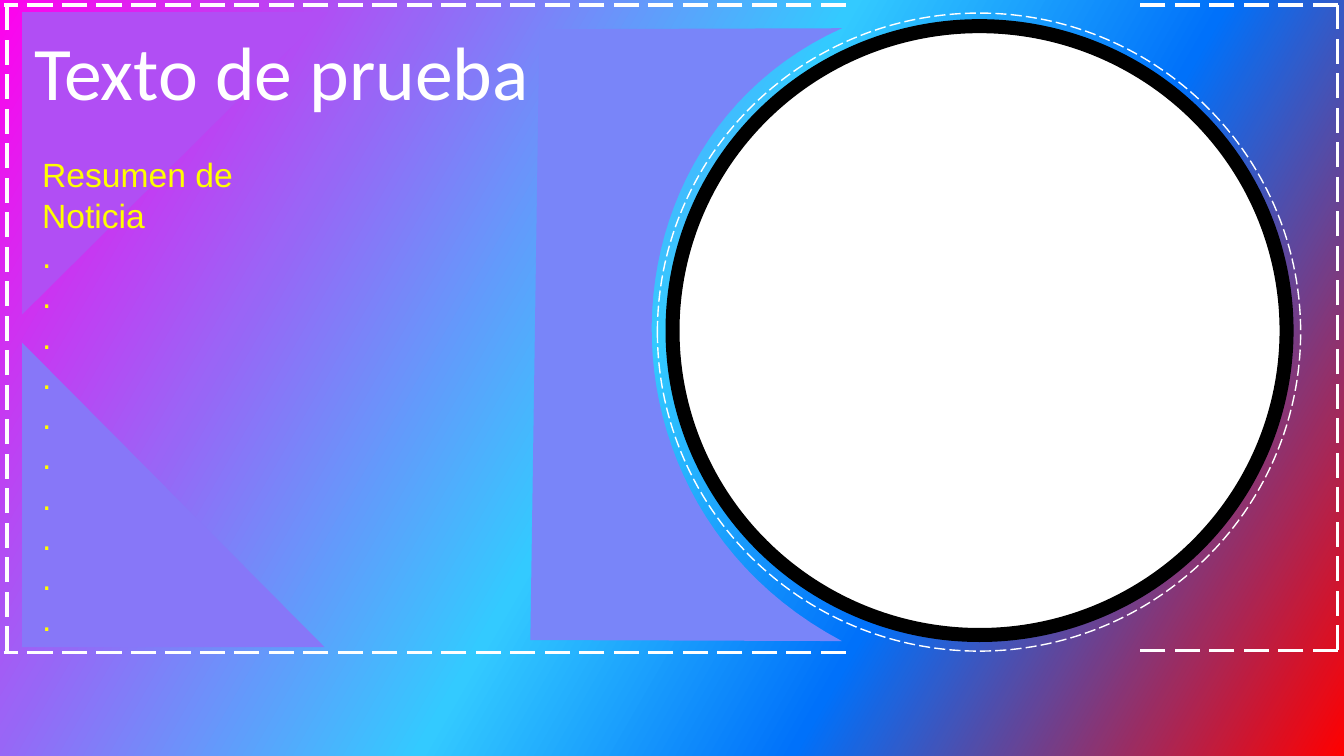
from lxml.etree import SubElement
from pptx import Presentation
from pptx.dml.color import RGBColor
from pptx.enum.dml import MSO_LINE
from pptx.enum.shapes import MSO_CONNECTOR, MSO_SHAPE
from pptx.enum.text import MSO_AUTO_SIZE
from pptx.oxml.ns import qn
from pptx.util import Inches, Pt

WHITE, BLACK, YELLOW = "FFFFFF", "000000", "FFFF00"
RAINBOW = [(0, "FF01ED"), (48, "33CAFF"), (69, "0071FA"), (100, "FF0000")]


def color(hex_text):
    """Turn a hex string into a colour."""
    return RGBColor.from_string(hex_text)


def apply(target, values):
    """Set each attribute of target named in values."""
    for name, value in values.items():
        setattr(target, name, value)


def bezier(start, control1, control2, end, steps=48):
    """Return points along a cubic curve, without its start."""
    points = []
    for step in range(1, steps + 1):
        t = step / steps
        weights = ((1 - t) ** 3, 3 * t * (1 - t) ** 2, 3 * t * t * (1 - t), t ** 3)
        corners = (start, control1, control2, end)
        points.append(tuple(sum(w * c[axis] for w, c in zip(weights, corners))
                            for axis in (0, 1)))
    return points


class Designer:
    """Holds the style and the slide being built."""

    dash = MSO_LINE.LONG_DASH

    def __init__(self, slide):
        """Keep the current slide."""
        self.slide = slide
        self.shapes = slide.shapes

    def paint(self, shape, fill=None, line=None, width=1, dash=None):
        """Give a shape its fill and outline."""
        shape.shadow.inherit = False
        if fill:
            shape.fill.solid()
            shape.fill.fore_color.rgb = color(fill)
        else:
            shape.fill.background()
        if line:
            shape.line.color.rgb = color(line)
            apply(shape.line, {"width": Pt(width), "dash_style": dash})
        else:
            shape.line.fill.background()
        return shape

    def shape(self, kind, box, **look):
        """Add a preset shape."""
        return self.paint(self.shapes.add_shape(kind, *map(Inches, box)), **look)

    def gradient(self, box, stops, angle):
        """Add a rectangle with a clockwise-angled gradient."""
        panel = self.shape(MSO_SHAPE.RECTANGLE, box)
        panel.fill.gradient()
        panel.fill.gradient_angle = 360 - angle
        stop_list = panel._element.spPr.find(qn("a:gradFill")).find(qn("a:gsLst"))
        for old_stop in list(stop_list):
            stop_list.remove(old_stop)
        for percent, hex_text in stops:
            stop = SubElement(stop_list, qn("a:gs"), pos=str(percent * 1000))
            SubElement(stop, qn("a:srgbClr"), val=hex_text)

    def triangle(self, box, fill, rotation=0):
        """Add a right-angled triangle."""
        corner = self.shape(MSO_SHAPE.ISOSCELES_TRIANGLE, box, fill=fill)
        corner.adjustments[0] = 0
        corner.rotation = rotation

    def outline(self, points, fill):
        """Add a closed freeform through points given in inches."""
        first, *others = [(Inches(x), Inches(y)) for x, y in points]
        builder = self.shapes.build_freeform(*first)
        builder.add_line_segments(others, close=True)
        self.paint(builder.convert_to_shape(), fill=fill)

    def dashed_line(self, start, end):
        """Add a white dashed border line."""
        border = self.shapes.add_connector(
            MSO_CONNECTOR.STRAIGHT, *map(Inches, start + end))
        border.line.color.rgb = color(WHITE)
        apply(border.line, {"width": Pt(2.25), "dash_style": self.dash})
        SubElement(border._element.spPr, qn("a:effectLst"))

    def text(self, box, lines, hex_text, font, spacing=None):
        """Add a text box with one paragraph per line."""
        frame = self.shapes.add_textbox(*map(Inches, box)).text_frame
        apply(frame, {"word_wrap": True, "auto_size": MSO_AUTO_SIZE.SHAPE_TO_FIT_TEXT})
        for index, line in enumerate(lines):
            paragraph = frame.add_paragraph() if index else frame.paragraphs[0]
            paragraph.line_spacing = spacing
            run = paragraph.add_run()
            run.text = line
            apply(run.font, font)
            run.font.color.rgb = color(hex_text)


deck = Presentation()
apply(deck, {"slide_width": Inches(13.33), "slide_height": Inches(7.5)})
news = Designer(deck.slides.add_slide(deck.slide_layouts[6]))

news.gradient((0, 0, 13.33, 7.5), RAINBOW, 30)
news.shape(MSO_SHAPE.OVAL, (6.67, 0.26, 6.09, 6.04), fill=WHITE, line=BLACK, width=10)
news.shape(MSO_SHAPE.OVAL, (6.52, 0.13, 6.38, 6.33), line=WHITE, dash=news.dash)

for start, end in [
    ((8.39, 0.05), (0.04, 0.05)),
    ((8.39, 6.47), (0.04, 6.47)),
    ((13.27, 6.45), (11.24, 6.45)),
    ((13.27, 0.05), (11.24, 0.05)),
    ((0.07, 6.46), (0.07, 0.06)),
    ((13.27, 6.45), (13.27, 0.05)),
]:
    news.dashed_line(start, end)

news.triangle((0.23, 0.11, 3, 3.02), "B14EF4", rotation=90)
news.triangle((0.22, 3.4, 3, 3.02), "8777F8")

panel_top, panel_bottom = (8.35, 0.28), (8.35, 6.36)
panel_curve = bezier(panel_bottom, (5.78, 5), (5.89, 1.39), panel_top)
news.outline([panel_top, (5.35, 0.29), (5.26, 6.35), panel_bottom] + panel_curve[:-1],
             "7985F9")

news.text((0.24, 0.2, 6.29, 1.01), ["Texto de prueba"], WHITE,
          {"name": "Calibri", "size": Pt(54)})
summary = ["Resumen de", "Noticia"] + ["."] * 10
news.text((0.32, 1.48, 5.83, 4.95), summary, YELLOW,
          {"name": "Arial", "size": Pt(24)}, spacing=Pt(28.8))

deck.save("out.pptx")
